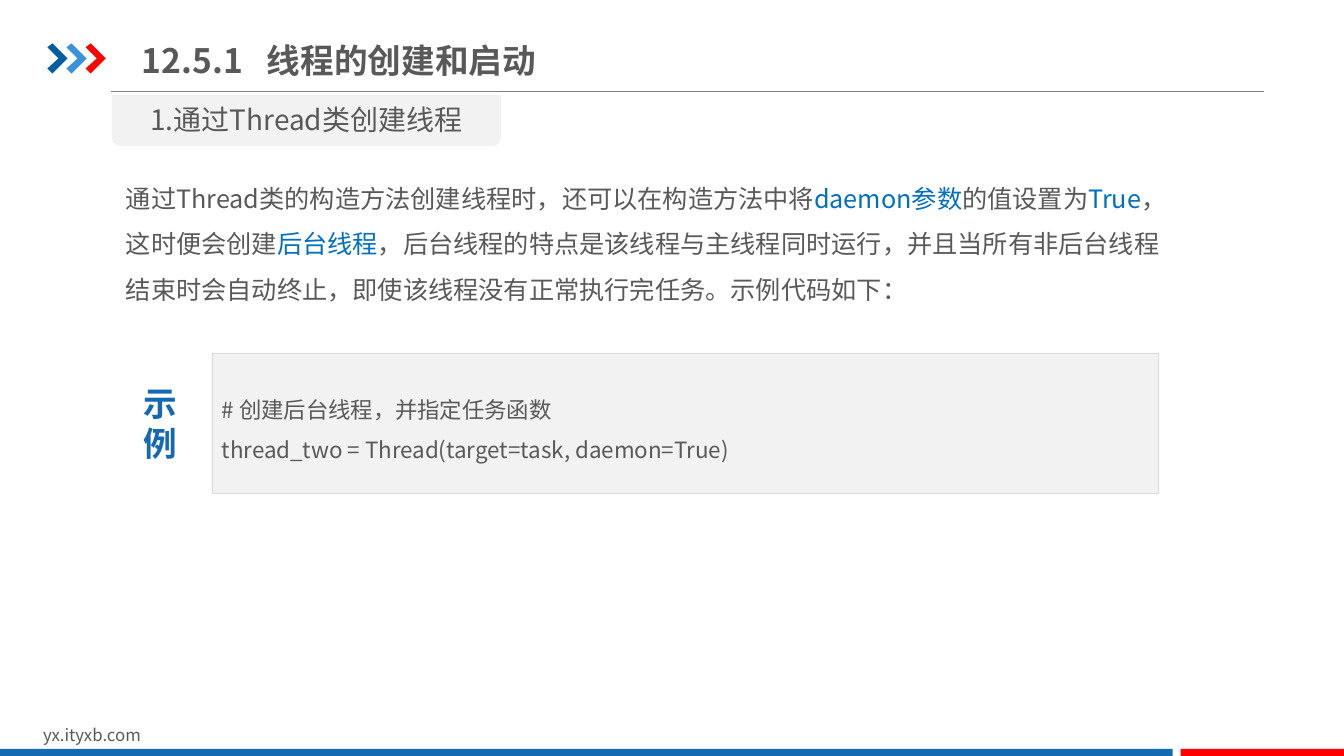
from dataclasses import dataclass

from lxml import etree
from pptx import Presentation
from pptx.dml.color import RGBColor
from pptx.enum.shapes import MSO_CONNECTOR, MSO_SHAPE
from pptx.enum.text import MSO_ANCHOR, PP_ALIGN
from pptx.oxml.ns import qn
from pptx.util import Inches, Pt

RECT = MSO_SHAPE.RECTANGLE
ROUND_TOP = MSO_SHAPE.ROUND_2_SAME_RECTANGLE
STRAIGHT = MSO_CONNECTOR.STRAIGHT
LEFT, CENTER = PP_ALIGN.LEFT, PP_ALIGN.CENTER
TOP, MIDDLE = MSO_ANCHOR.TOP, MSO_ANCHOR.MIDDLE


@dataclass(frozen=True)
class Theme:
    font: str = "Noto Sans CJK SC"
    text: str = "595959"
    accent: str = "0070C0"
    blue: str = "1369B2"
    red: str = "FF0000"
    panel: str = "F2F2F2"
    panel_line: str = "D9D9D9"
    rule: str = "808080"
    chevrons: tuple = ("005DA2", "3992DB", "FF0000")
    heading_size: int = 24
    topic_size: int = 20
    body_size: int = 18
    code_size: int = 16
    footer_size: int = 12


THEME = Theme()


def rgb(value):
    return RGBColor.from_string(value)


def write_text(frame, paragraphs, *, size, color=THEME.text, bold=False,
               align=LEFT, anchor=TOP, spacing=None, tab=None):
    frame.word_wrap = True
    frame.vertical_anchor = anchor
    for index, content in enumerate(paragraphs):
        paragraph = frame.paragraphs[0] if index == 0 else frame.add_paragraph()
        paragraph.alignment = align
        if spacing:
            paragraph.line_spacing = spacing
        if tab:
            stops = etree.SubElement(paragraph._p.get_or_add_pPr(), qn("a:tabLst"))
            etree.SubElement(stops, qn("a:tab"), pos=str(Inches(tab)), algn="l")
        pieces = [(content, color)] if isinstance(content, str) else content
        for words, shade in pieces:
            run = paragraph.add_run()
            run.text = words
            run.font.size = Pt(size)
            run.font.bold = bold
            run.font.color.rgb = rgb(shade)
            run.font.name = THEME.font
            east_asian = etree.Element(qn("a:ea"), typeface=THEME.font)
            run._r.rPr.find(qn("a:latin")).addnext(east_asian)


def add_text(slide, box, paragraphs, **style):
    frame = slide.shapes.add_textbox(*map(Inches, box)).text_frame
    write_text(frame, paragraphs, **style)


def paint(shape, fill, line=None):
    shape.shadow.inherit = False
    shape.fill.solid()
    shape.fill.fore_color.rgb = rgb(fill)
    if line:
        shape.line.color.rgb = rgb(line)
        shape.line.width = Pt(0.25)
    else:
        shape.line.fill.background()


def add_block(slide, kind, box, fill, line=None):
    block = slide.shapes.add_shape(kind, *map(Inches, box))
    paint(block, fill, line)
    return block


def add_chevrons(slide, box):
    left, top, width, height = box
    outline = [(0, 0.04), (0.05, 0), (width, height / 2), (0.05, height),
               (0, height - 0.05), (0.11, height / 2)]
    for index, color in enumerate(THEME.chevrons):
        points = [(Inches(left + index * 0.19 + x), Inches(top + y))
                  for x, y in outline]
        builder = slide.shapes.build_freeform(*points[0])
        builder.add_line_segments(points[1:], close=True)
        paint(builder.convert_to_shape(), color)


def add_header(slide, box, heading):
    left, top, width, height = box
    add_chevrons(slide, (left, top + 0.14, 0.2, 0.3))
    rule_y = Inches(top + height)
    rule = slide.shapes.add_connector(
        STRAIGHT, Inches(left + 0.63), rule_y, Inches(left + width), rule_y)
    rule.line.color.rgb = rgb(THEME.rule)
    rule.line.width = Pt(0.75)
    etree.SubElement(rule._element.spPr, qn("a:effectLst"))
    add_text(slide, (left + 0.84, top, 6.34, height - 0.01), [heading],
             size=THEME.heading_size, bold=True, anchor=MIDDLE, tab=1.24)


def add_topic(slide, box, topic):
    left, top, width, height = box
    add_block(slide, ROUND_TOP, box, THEME.panel).rotation = 180
    add_text(slide, (left, top + 0.03, width, height - 0.07), [topic],
             size=THEME.topic_size, align=CENTER)


def add_explanation(slide, box, pieces):
    add_text(slide, box, [pieces], size=THEME.body_size, spacing=1.5)


def add_example(slide, box, label, code):
    left, top, width, height = box
    label_width = 0.94
    add_text(slide, (left, top + 0.25, label_width - 0.08, 1.1), list(label),
             size=THEME.heading_size, color=THEME.blue, bold=True, align=CENTER)
    panel = add_block(slide, RECT,
                      (left + label_width, top, width - label_width, height),
                      THEME.panel, THEME.panel_line)
    write_text(panel.text_frame, code, size=THEME.code_size,
               anchor=MIDDLE, spacing=1.5)


def add_footer(slide, box, site):
    left, top, width, height = box
    bar_height, gap, red_width = 0.07, 0.08, 1.62
    bar_top = top + height - bar_height
    add_text(slide, (left + 0.33, top, 3.18, 0.3), [site], size=THEME.footer_size)
    add_block(slide, RECT, (left, bar_top, width - red_width - gap, bar_height),
              THEME.blue)
    add_block(slide, RECT, (left + width - red_width, bar_top, red_width, bar_height),
              THEME.red)


def main():
    deck = Presentation()
    deck.slide_width, deck.slide_height = Inches(13.33), Inches(7.5)
    slide = deck.slides.add_slide(deck.slide_layouts[6])
    add_header(slide, (0.47, 0.29, 12.07, 0.62), "12.5.1\t线程的创建和启动")
    add_topic(slide, (1.11, 0.94, 3.86, 0.51), "1.通过Thread类创建线程")
    add_explanation(slide, (1.15, 1.62, 10.57, 1.71), [
        ("通过Thread类的构造方法创建线程时，还可以在构造方法中将", THEME.text),
        ("daemon参数", THEME.accent),
        ("的值设置为", THEME.text),
        ("True", THEME.accent),
        ("，这时便会创建", THEME.text),
        ("后台线程", THEME.accent),
        ("，后台线程的特点是该线程与主线程同时运行，并且当所有非后台线程结束时"
         "会自动终止，即使该线程没有正常执行完任务。示例代码如下：", THEME.text),
    ])
    add_example(slide, (1.16, 3.5, 10.33, 1.39), "示例", [
        "# 创建后台线程，并指定任务函数",
        "thread_two = Thread(target=task, daemon=True)",
    ])
    add_footer(slide, (0, 7.14, 13.33, 0.36), "yx.ityxb.com")
    deck.save("out.pptx")


if __name__ == "__main__":
    main()
